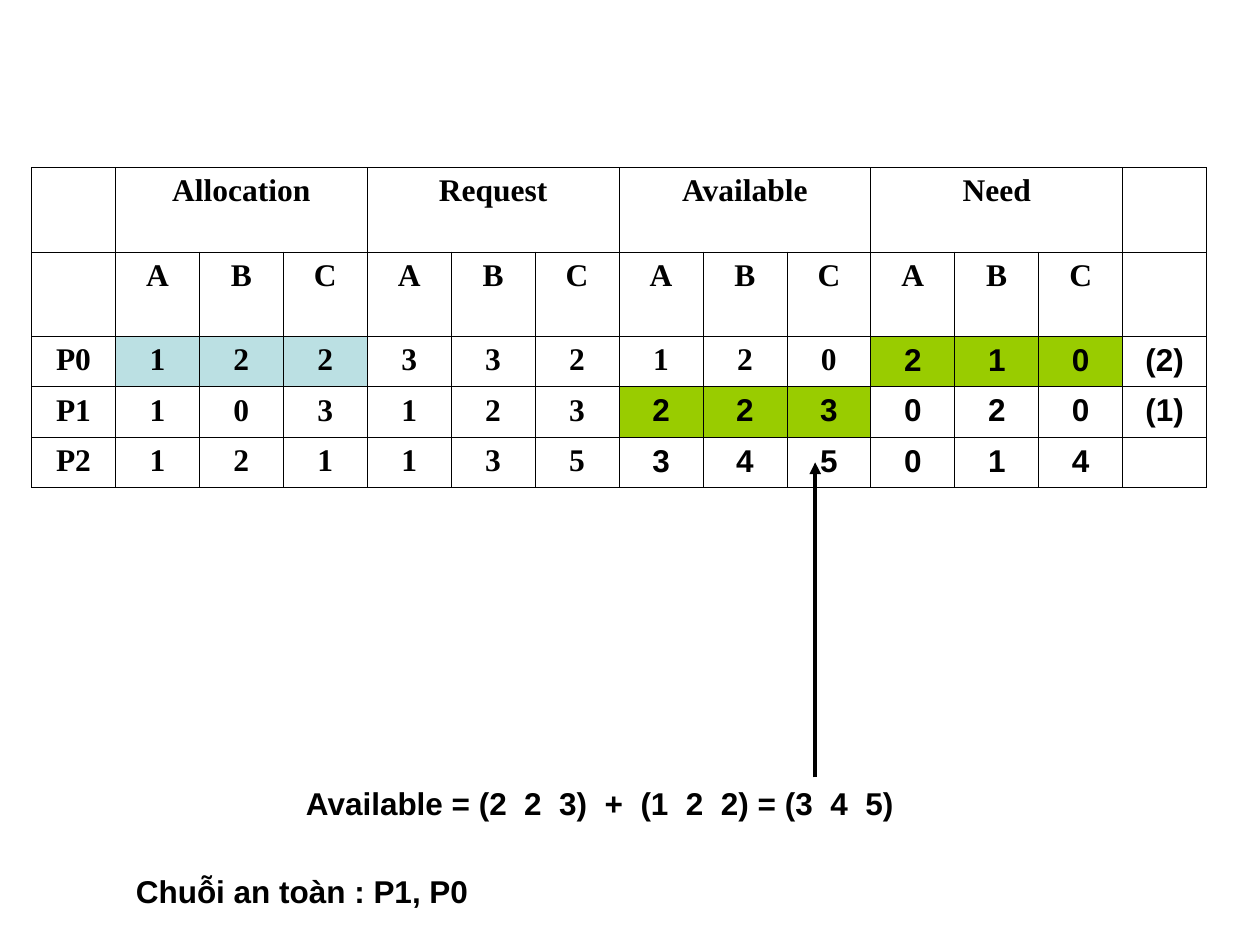
from dataclasses import dataclass

import pptx
import pptx.dml.color
import pptx.enum.dml
import pptx.enum.shapes
import pptx.enum.text
import pptx.oxml
import pptx.oxml.ns
import pptx.util
from pptx.util import Inches

COLORS = {"ink": "000000", "allocated": "BBE0E3", "granted": "99CC00"}
SERIF, SANS = "Times New Roman", "Arial"
GROUPS = ["Allocation", "Request", "Available", "Need"]
RESOURCES = ["A", "B", "C"]
COLUMN_COUNT = 2 + len(GROUPS) * len(RESOURCES)
ROW_HEIGHTS = [0.67, 0.67, 0.4, 0.4, 0.4]
TABLE_WIDTH = 9.33


@dataclass
class TableRow:
    values: list[str]
    sans_from: int = COLUMN_COUNT


@dataclass
class Highlight:
    row: int
    group: str
    color: str


@dataclass
class Caption:
    text: str
    left: float
    top: float
    width: float


ROWS = [
    TableRow(["", *(name for group in GROUPS for name in (group, "", "")), ""]),
    TableRow(["", *RESOURCES * len(GROUPS), ""]),
    TableRow(["P0", *"122332120210", "(2)"], sans_from=10),
    TableRow(["P1", *"103123223020", "(1)"], sans_from=7),
    TableRow(["P2", *"121135345014", ""], sans_from=7),
]
HIGHLIGHTS = [
    Highlight(2, "Allocation", "allocated"),
    Highlight(2, "Need", "granted"),
    Highlight(3, "Available", "granted"),
]
CAPTIONS = [
    Caption("Available = (2  2  3)  +  (1  2  2) = (3  4  5)", 2.33, 6.17, 4.87),
    Caption("Chuỗi an toàn : P1, P0", 0.98, 6.87, 2.91),
]


def rgb(name: str) -> pptx.dml.color.RGBColor:
    return pptx.dml.color.RGBColor.from_string(COLORS[name])


def group_columns(group: str) -> range:
    first = 1 + GROUPS.index(group) * len(RESOURCES)
    return range(first, first + len(RESOURCES))


def write_text(paragraph, text: str, font_name: str) -> None:
    paragraph.text = text
    text_format = {"name": font_name, "size": pptx.util.Pt(18), "bold": True}
    for attribute, value in text_format.items():
        setattr(paragraph.font, attribute, value)
    paragraph.font.color.rgb = rgb("ink")


def add_borders(cell) -> None:
    properties = cell._tc.get_or_add_tcPr()
    for position, side in enumerate(("lnL", "lnR", "lnT", "lnB")):
        border = pptx.oxml.parse_xml(
            f'<a:{side} {pptx.oxml.ns.nsdecls("a")} w="{pptx.util.Pt(0.45)}"><a:solidFill>'
            f'<a:srgbClr val="{COLORS["ink"]}"/></a:solidFill></a:{side}>'
        )
        properties.insert(position, border)


def add_resource_table(slide) -> None:
    frame = slide.shapes.add_table(
        len(ROWS), COLUMN_COUNT, Inches(0.25), Inches(1.33),
        Inches(TABLE_WIDTH), Inches(sum(ROW_HEIGHTS)),
    )
    table = frame.table
    table.first_row = False
    table.horz_banding = False
    for column in table.columns:
        column.width = Inches(TABLE_WIDTH / COLUMN_COUNT)
    for row, height in zip(table.rows, ROW_HEIGHTS):
        row.height = Inches(height)

    for row_index, row in enumerate(ROWS):
        for column_index, value in enumerate(row.values):
            cell = table.cell(row_index, column_index)
            paragraph = cell.text_frame.paragraphs[0]
            paragraph.alignment = pptx.enum.text.PP_ALIGN.CENTER
            write_text(paragraph, value, SANS if column_index >= row.sans_from else SERIF)
            add_borders(cell)
            cell.fill.background()

    for group in GROUPS:
        columns = group_columns(group)
        table.cell(0, columns[0]).merge(table.cell(0, columns[-1]))
    for highlight in HIGHLIGHTS:
        for column_index in group_columns(highlight.group):
            fill = table.cell(highlight.row, column_index).fill
            fill.solid()
            fill.fore_color.rgb = rgb(highlight.color)


def add_caption(slide, caption: Caption) -> None:
    shape = slide.shapes.add_textbox(
        Inches(caption.left), Inches(caption.top), Inches(caption.width), Inches(0.4)
    )
    shape.text_frame.word_wrap = False
    shape.text_frame.auto_size = pptx.enum.text.MSO_AUTO_SIZE.SHAPE_TO_FIT_TEXT
    write_text(shape.text_frame.paragraphs[0], caption.text, SANS)


def add_up_arrow(slide, x: float, bottom: float, top: float) -> None:
    arrow = slide.shapes.add_connector(
        pptx.enum.shapes.MSO_CONNECTOR.STRAIGHT,
        Inches(x), Inches(bottom), Inches(x), Inches(top),
    )
    arrow.line.color.rgb = rgb("ink")
    arrow.line.width = pptx.util.Pt(2.25)
    namespace = pptx.oxml.ns.nsdecls("a")
    arrow.line._get_or_add_ln().append(
        pptx.oxml.parse_xml(f'<a:tailEnd {namespace} type="triangle"/>')
    )
    arrow._element.spPr.append(pptx.oxml.parse_xml(f"<a:effectLst {namespace}/>"))


def main() -> None:
    presentation = pptx.Presentation()
    presentation.slide_width = Inches(10)
    presentation.slide_height = Inches(7.5)
    slide = presentation.slides.add_slide(presentation.slide_layouts[6])
    add_resource_table(slide)
    available_caption, sequence_caption = CAPTIONS
    add_caption(slide, available_caption)
    add_up_arrow(slide, x=6.47, bottom=6.17, top=3.67)
    add_caption(slide, sequence_caption)
    presentation.save("out.pptx")


if __name__ == "__main__":
    main()
